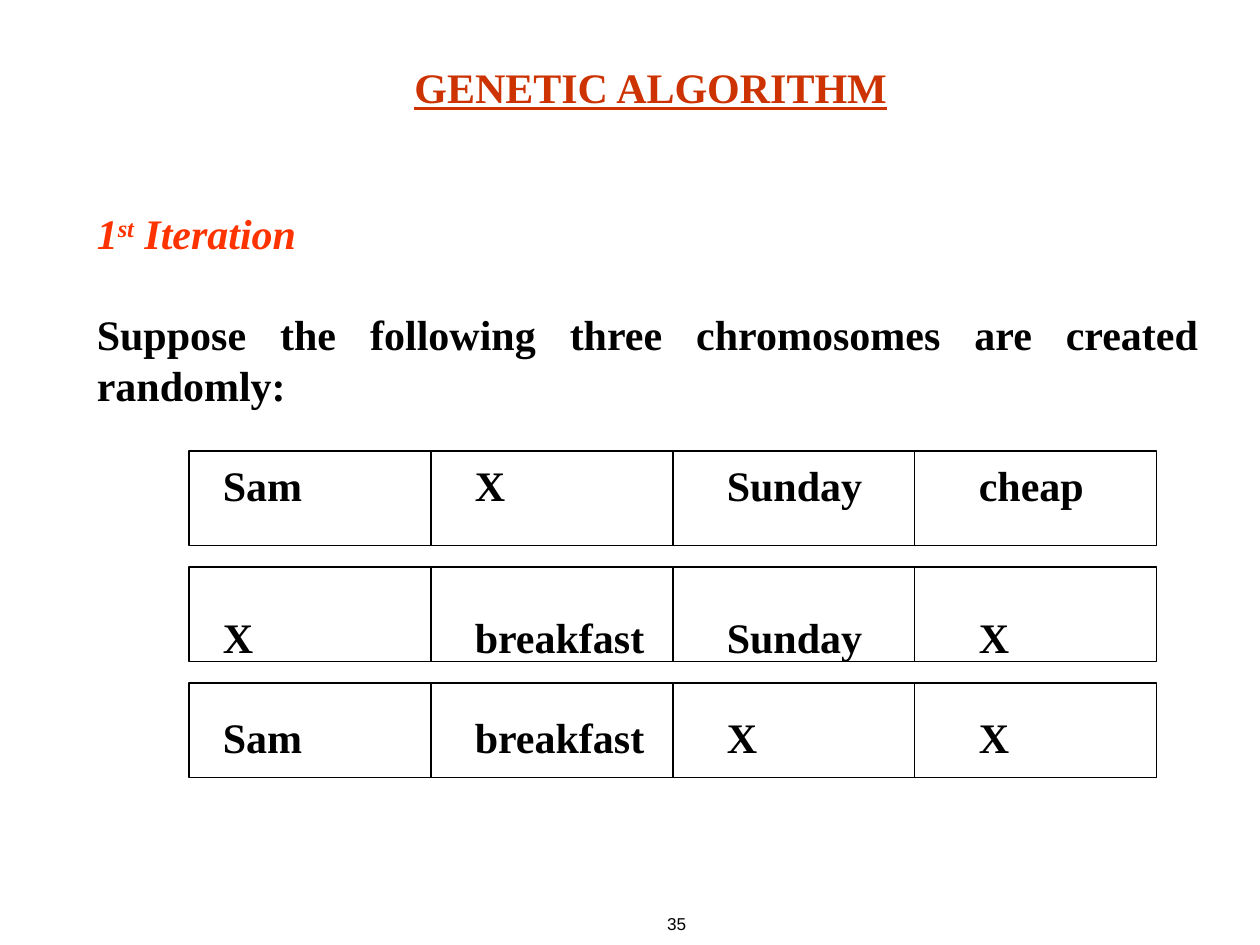
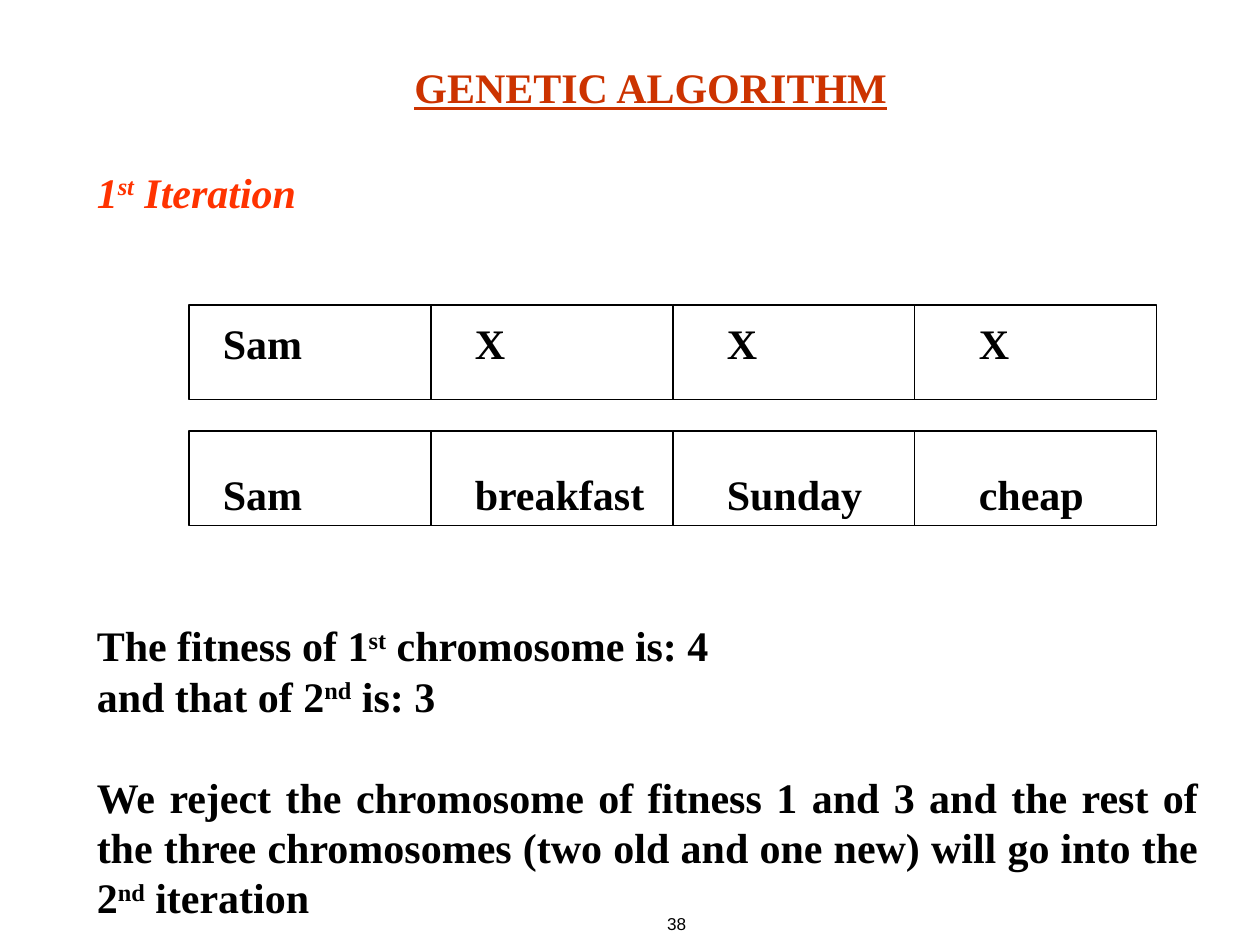
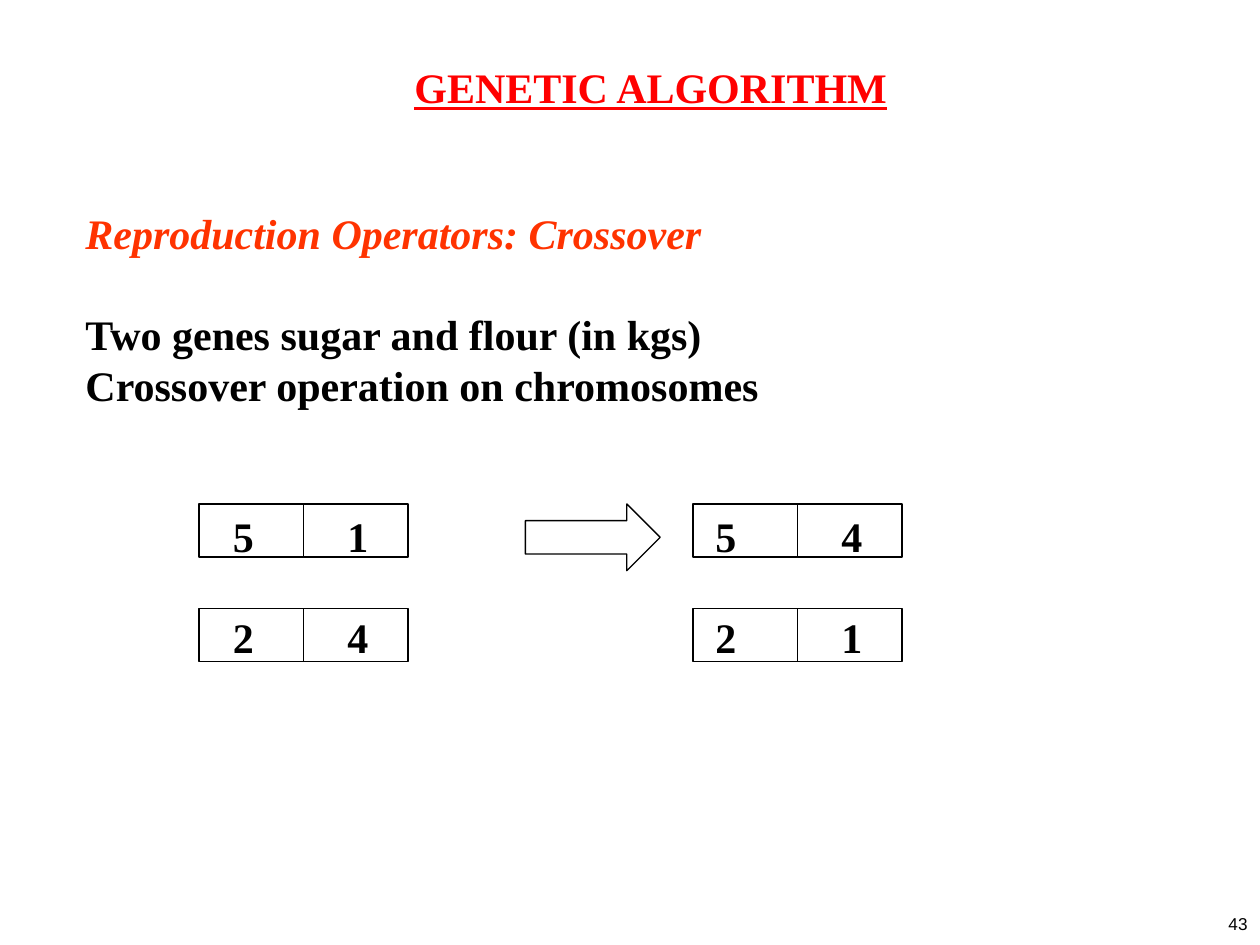
from lxml import etree
from pptx import Presentation
from pptx.dml.color import RGBColor
from pptx.enum.shapes import MSO_SHAPE
from pptx.enum.text import MSO_ANCHOR, MSO_AUTO_SIZE, PP_ALIGN
from pptx.oxml.ns import qn
from pptx.util import Inches, Pt

LEFT, CENTER, RIGHT, JUSTIFY = PP_ALIGN.LEFT, PP_ALIGN.CENTER, PP_ALIGN.RIGHT, PP_ALIGN.JUSTIFY
RECTANGLE, RIGHT_ARROW = MSO_SHAPE.RECTANGLE, MSO_SHAPE.RIGHT_ARROW
TOP, NO_AUTOFIT = MSO_ANCHOR.TOP, MSO_AUTO_SIZE.NONE

BLACK = RGBColor(0x00, 0x00, 0x00)
RUST = RGBColor(0xCC, 0x33, 0x00)
RED = RGBColor(0xFF, 0x00, 0x00)
ORANGE = RGBColor(0xFF, 0x33, 0x00)

SERIF, SANS = "Times New Roman", "Arial"
LINE_HEIGHT = 28.8
TITLE = "GENETIC ALGORITHM"
WORD_CELL = (1.92, 0.75)
NUMBER_CELL = (0.83, 0.42)


def write_text(paragraph, text, font=SERIF, size=24, color=BLACK, bold=True, italic=False,
               underline=False, align=LEFT, spacing=Pt(LINE_HEIGHT), skipped_lines=0, tabs=()):
    paragraph.alignment = align
    paragraph.line_spacing = spacing
    paragraph.space_before = Pt(skipped_lines * LINE_HEIGHT)
    if tabs:
        tab_list = etree.SubElement(paragraph._p.get_or_add_pPr(), qn("a:tabLst"))
        for position in tabs:
            etree.SubElement(tab_list, qn("a:tab"), pos=str(Inches(position)), algn="l")
    for index, part in enumerate(text.split("^")):
        run = paragraph.add_run()
        run.text = part
        run.font.name = font
        run.font.size = Pt(size)
        run.font.color.rgb = color
        run.font.bold = bold
        run.font.italic = italic
        run.font.underline = underline
        if index % 2:
            run._r.get_or_add_rPr().set("baseline", "30000")


def add_outline(shapes, kind, left, top, width, height):
    shape = shapes.add_shape(kind, Inches(left), Inches(top), Inches(width), Inches(height))
    shape.shadow.inherit = False
    shape.fill.background()
    shape.line.color.rgb = BLACK
    shape.line.width = Pt(0.75)
    return shape


SLIDES = [
    {
        "title_color": RUST,
        "number": ("35", CENTER, 1.43, 7.88),
        "body": (0.67, 1.58, 8.94, 4.9),
        "tabs": (1, 3, 5, 7),
        "lines": [
            (0, "1^st^ Iteration"),
            (1, "Suppose the following three chromosomes are created randomly:"),
            (1, "\tSam\tX\tSunday\tcheap"),
            (2, "\tX\tbreakfast\tSunday\tX"),
            (1, "\tSam\tbreakfast\tX\tX"),
        ],
        "cell": WORD_CELL,
        "chromosomes": [(1.5, top, 4) for top in (3.58, 4.5, 5.42)],
    },
    {
        "title_color": RUST,
        "number": ("38", CENTER, 1.43, 7.88),
        "body": (0.67, 1.25, 8.94, 6.1),
        "tabs": (1, 3, 5, 7),
        "lines": [
            (0, "1^st^ Iteration"),
            (2, "\tSam\tX\tX\tX"),
            (2, "\tSam\tbreakfast\tSunday\tcheap"),
            (2, "The fitness of 1^st^ chromosome is: 4"),
            (0, "and that of 2^nd^ is: 3"),
            (1, "We reject the chromosome of fitness 1 and 3 and the rest of the three "
                "chromosomes (two old and one new) will go into the 2^nd^ iteration"),
        ],
        "cell": WORD_CELL,
        "chromosomes": [(1.5, top, 4) for top in (2.42, 3.42)],
    },
    {
        "title_color": RED,
        "number": ("43", RIGHT, 9.46, 0.54),
        "body": (0.58, 1.58, 9, 4.1),
        "tabs": (1.17, 2.08, 5, 6),
        "lines": [
            (0, "Reproduction Operators: Crossover"),
            (1, "Two genes sugar and flour (in kgs)"),
            (0, "Crossover operation on chromosomes"),
            (2, "\t5\t1\t5\t4"),
            (1, "\t2\t4\t2\t1"),
        ],
        "cell": NUMBER_CELL,
        "chromosomes": [(left, top, 2) for left in (1.58, 5.5) for top in (4, 4.83)],
    },
]

presentation = Presentation()
presentation.slide_width = Inches(10)
presentation.slide_height = Inches(7.5)
title_only = presentation.slide_layouts[5]

for content in SLIDES:
    slide = presentation.slides.add_slide(title_only)

    title = slide.shapes.title
    title.left, title.top = Inches(1.25), Inches(0.42)
    title.width, title.height = Inches(7.83), Inches(0.5)
    write_text(title.text_frame.paragraphs[0], TITLE, color=content["title_color"],
               underline=True, align=CENTER)

    number, number_align, left, width = content["number"]
    number_box = slide.shapes.add_textbox(Inches(left), Inches(7.23), Inches(width), Inches(0.27))
    number_box.text_frame.word_wrap = True
    write_text(number_box.text_frame.paragraphs[0], number, font=SANS, size=9.8, bold=False,
               align=number_align, spacing=0.8)

    body = slide.shapes.add_textbox(*[Inches(length) for length in content["body"]])
    for frame in (title.text_frame, body.text_frame):
        frame.word_wrap = True
        frame.auto_size = NO_AUTOFIT
        frame.vertical_anchor = TOP
        frame.margin_top = Inches(0.07)

    for index, (skipped_lines, text) in enumerate(content["lines"]):
        heading = index == 0
        paragraph = body.text_frame.paragraphs[0] if heading else body.text_frame.add_paragraph()
        write_text(paragraph, text, color=ORANGE if heading else BLACK, italic=heading,
                   align=LEFT if heading else JUSTIFY, skipped_lines=skipped_lines,
                   tabs=content["tabs"] if "\t" in text else ())

    cell_width, cell_height = content["cell"]
    for left, top, gene_count in content["chromosomes"]:
        chromosome = slide.shapes.add_group_shape()
        for gene in range(gene_count):
            add_outline(chromosome.shapes, RECTANGLE, left + gene * cell_width, top,
                        cell_width, cell_height)

crossover_arrow = add_outline(slide.shapes, RIGHT_ARROW, 4.17, 4, 1.07, 0.53)
crossover_arrow.adjustments[0] = 0.5
crossover_arrow.adjustments[1] = 0.5

presentation.save("out.pptx")
